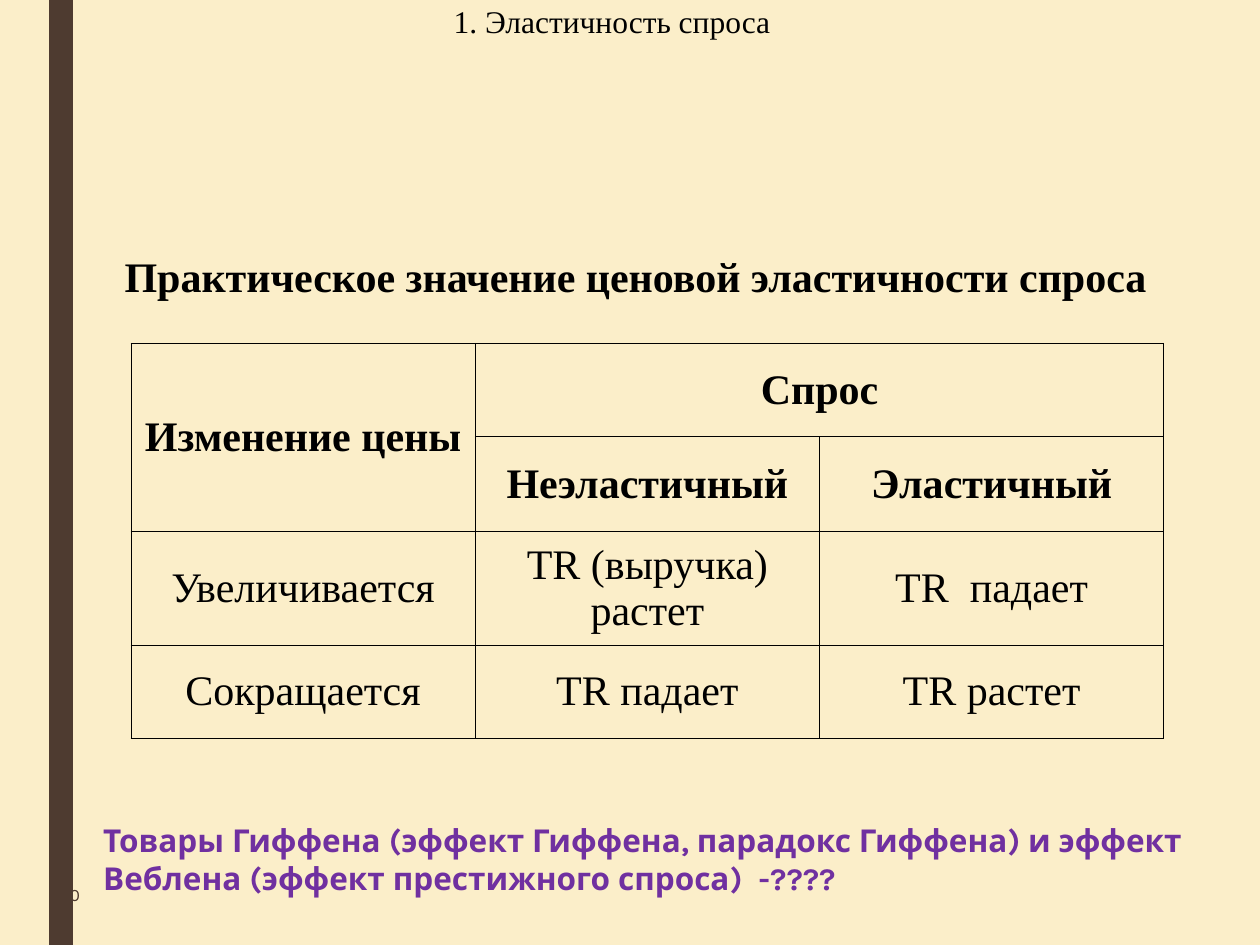
import lxml.etree
import pptx
import pptx.dml.color
import pptx.enum.shapes
import pptx.enum.text
import pptx.oxml.ns
import pptx.util

Cm = pptx.util.Cm
Pt = pptx.util.Pt
ALIGN = pptx.enum.text.PP_ALIGN
ANCHOR = pptx.enum.text.MSO_ANCHOR

COLORS = {
    "background": "FBEEC9",
    "bar": "4E3B30",
    "text": "000000",
    "question": "7030A0",
}
SERIF = "Times New Roman"
SANS = "Karla"

ROW_HEIGHTS = [1.88, 1.91, 2.29, 1.88]
TABLE_ROWS = [
    ["Изменение цены", "Спрос", ""],
    ["", "Неэластичный", "Эластичный"],
    ["Увеличивается", "TR (выручка) растет", "TR  падает"],
    ["Сокращается", "TR падает", "TR растет"],
]
HEADER_ROWS = 2


def rgb(name):
    return pptx.dml.color.RGBColor.from_string(COLORS[name])


def write_text(frame, text, size=24, font=SERIF, color="text", bold=False,
               align=ALIGN.LEFT, line_spacing=1.0):
    frame.word_wrap = True
    paragraph = frame.paragraphs[0]
    paragraph.alignment = align
    paragraph.line_spacing = line_spacing
    run = paragraph.add_run()
    run.text = text
    run.font.size = Pt(size)
    run.font.name = font
    run.font.bold = bold
    run.font.color.rgb = rgb(color)


def add_text_box(slide, box, text, anchor=ANCHOR.TOP, **text_format):
    frame = slide.shapes.add_textbox(*map(Cm, box)).text_frame
    frame.vertical_anchor = anchor
    write_text(frame, text, **text_format)


def add_side_bar(slide, box):
    bar = slide.shapes.add_shape(
        pptx.enum.shapes.MSO_SHAPE.RECTANGLE, *map(Cm, box))
    bar.shadow.inherit = False
    bar.fill.solid()
    bar.fill.fore_color.rgb = rgb("bar")
    bar.line.fill.background()


def set_title(slide, box, text):
    title = slide.shapes.title
    title.left, title.top, title.width, title.height = map(Cm, box)
    title.text_frame.auto_size = pptx.enum.text.MSO_AUTO_SIZE.NONE
    title.text_frame.vertical_anchor = ANCHOR.TOP
    write_text(title.text_frame, text, size=18, line_spacing=0.89)


def set_cell_borders(cell, color, width):
    properties = cell._tc.get_or_add_tcPr()
    qn = pptx.oxml.ns.qn
    for side in ("a:lnL", "a:lnR", "a:lnT", "a:lnB"):
        line = lxml.etree.SubElement(properties, qn(side), w=str(Pt(width)))
        fill = lxml.etree.SubElement(line, qn("a:solidFill"))
        lxml.etree.SubElement(fill, qn("a:srgbClr"), val=COLORS[color])


def add_elasticity_table(slide, box):
    left, top, width, height = map(Cm, box)
    column_count = len(TABLE_ROWS[0])
    table = slide.shapes.add_table(
        len(TABLE_ROWS), column_count, left, top, width, height).table
    table.first_row = table.horz_banding = False
    for column in table.columns:
        column.width = width // column_count
    for row, row_height in zip(table.rows, ROW_HEIGHTS):
        row.height = Cm(row_height)
    table.cell(0, 0).merge(table.cell(1, 0))
    table.cell(0, 1).merge(table.cell(0, 2))

    for row_index, texts in enumerate(TABLE_ROWS):
        for column_index, text in enumerate(texts):
            cell = table.cell(row_index, column_index)
            set_cell_borders(cell, "text", 0.45)
            cell.fill.background()
            cell.vertical_anchor = ANCHOR.MIDDLE
            if text:
                write_text(cell.text_frame, text, align=ALIGN.CENTER,
                           bold=row_index < HEADER_ROWS)


def build_slide(presentation):
    slide = presentation.slides.add_slide(presentation.slide_layouts[5])
    slide.background.fill.solid()
    slide.background.fill.fore_color.rgb = rgb("background")
    add_side_bar(slide, (0.99, 0, 0.48, 19.05))
    set_title(slide, (8.89, 0, 16.51, 2.13), "1. Эластичность спроса")
    add_elasticity_table(slide, (2.64, 6.92, 20.82, sum(ROW_HEIGHTS)))
    add_text_box(slide, (0.23, 17.35, 1.63, 1.35), "10", ANCHOR.MIDDLE,
                 size=10, font=SANS, color="bar", align=ALIGN.RIGHT)
    add_text_box(slide, (2.11, 4.93, 21.41, 1.27),
                 "Практическое значение ценовой эластичности спроса",
                 ANCHOR.MIDDLE, bold=True, align=ALIGN.CENTER)
    add_text_box(slide, (1.83, 16.43, 23.6, 1.78),
                 "Товары Гиффена (эффект Гиффена, парадокс Гиффена) и эффект "
                 "Веблена (эффект престижного спроса)  -????",
                 size=18, font=SANS, color="question", bold=True)


def main():
    presentation = pptx.Presentation()
    presentation.slide_width = Cm(25.4)
    presentation.slide_height = Cm(19.05)
    build_slide(presentation)
    presentation.save("out.pptx")


if __name__ == "__main__":
    main()
